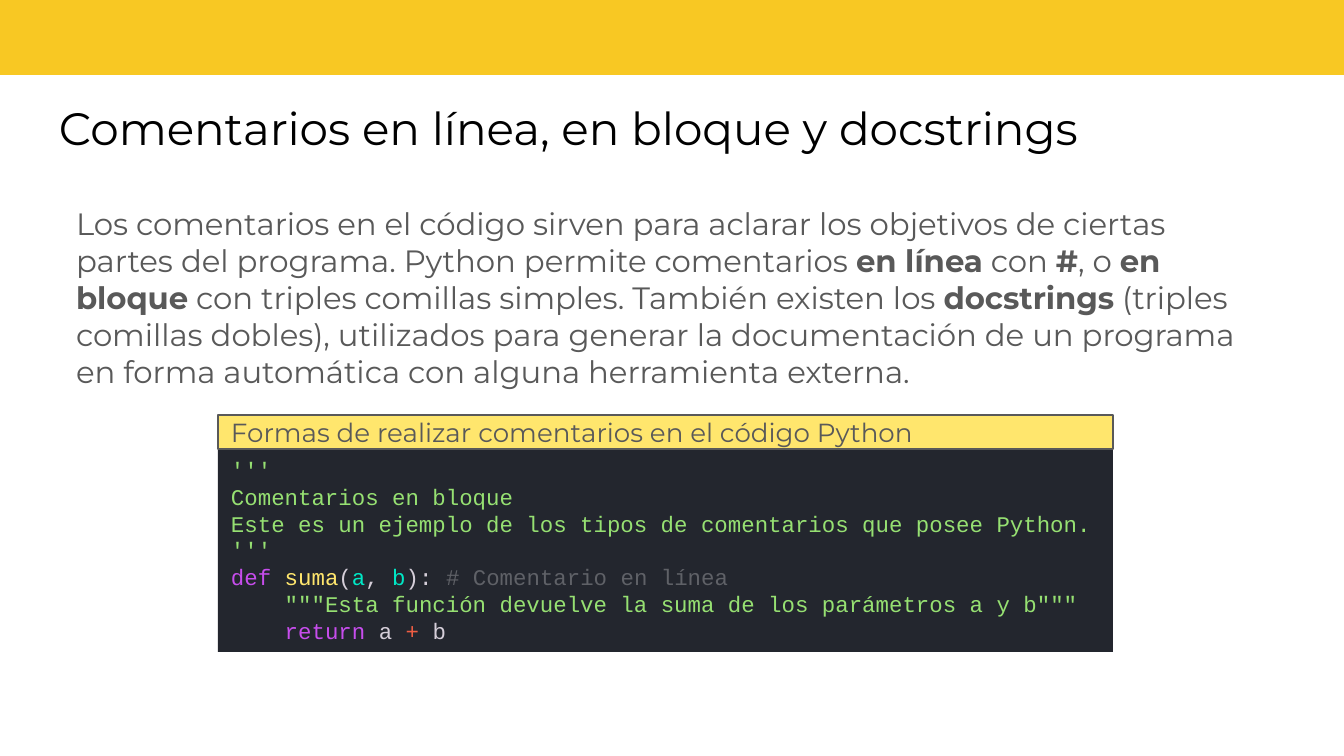
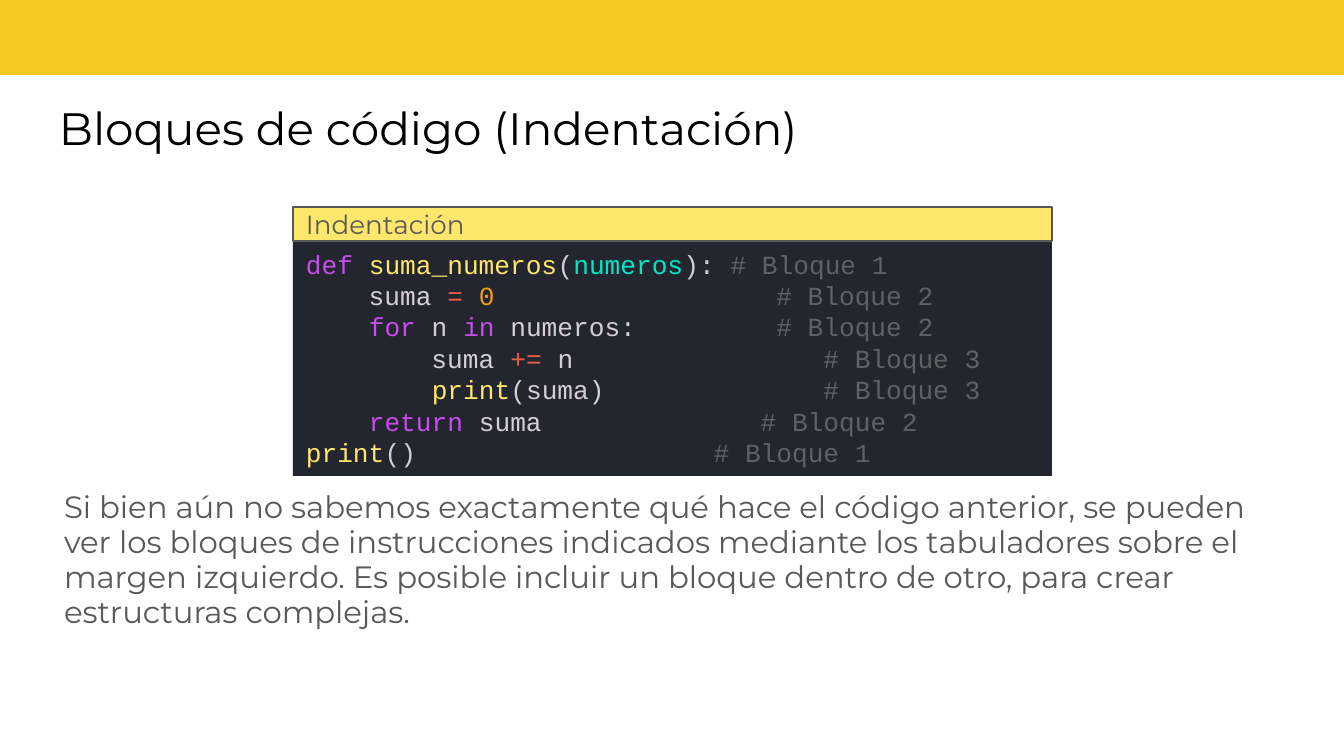
from itertools import zip_longest

from lxml import etree
from pptx import Presentation
from pptx import util as u
from pptx.dml.color import RGBColor
from pptx.enum import shapes, text
from pptx.oxml.ns import qn

# Content: every run is (words, role); roles are styled in THEME
SLIDES = [
    {
        "title": "Comentarios en línea, en bloque y docstrings",
        "body": [
            ("Los comentarios en el código sirven para aclarar los objetivos de ciertas "
             "partes del programa. Python permite comentarios ", "plain"),
            ("en línea", "strong"), (" con ", "plain"), ("#", "strong"), (", o ", "plain"),
            ("en bloque", "strong"),
            (" con triples comillas simples. También existen los ", "plain"),
            ("docstrings", "strong"),
            (" (triples comillas dobles), utilizados para generar la documentación de un "
             "programa en forma automática con alguna herramienta externa.", "plain"),
        ],
        "body_box": (63, 192, 1218, 485),
        "line_spacing": 1.0,
        "heading": "Formas de realizar comentarios en el código Python",
        "heading_at": (218, 415, 895),
        "code_height": 203,
        "code_size": 12,
        "code": [
            [("'''", "string")],
            [("Comentarios en bloque", "string")],
            [("Este es un ejemplo de los tipos de comentarios que posee Python.", "string")],
            [("'''", "string")],
            [("def ", "keyword"), ("suma", "function"), ("(", "code"), ("a", "parameter"),
             (", ", "code"), ("b", "parameter"), ("): ", "code"),
             ("# Comentario en línea", "comment")],
            [("    ", "code"),
             ('"""Esta función devuelve la suma de los parámetros a y b"""', "string")],
            [("    ", "code"), ("return", "keyword"), (" a ", "code"),
             ("+", "operator"), (" b", "code")],
        ],
        "comment_columns": [],
    },
    {
        "title": "Bloques de código (Indentación)",
        "body": [
            ("Si bien aún no sabemos exactamente qué hace el código anterior, se pueden ver "
             "los bloques de instrucciones indicados mediante los tabuladores sobre el margen "
             "izquierdo. Es posible incluir un bloque dentro de otro, para crear estructuras "
             "complejas.", "plain"),
        ],
        "body_box": (51, 477, 1243, 192),
        "line_spacing": 0.95,
        "heading": "Indentación",
        "heading_at": (293, 207, 759),
        "code_height": 235,
        "code_size": 14,
        "code": [
            [("def ", "keyword"), ("suma_numeros", "function"), ("(", "code"),
             ("numeros", "parameter"), ("): ", "code"), ("# Bloque 1", "comment")],
            [("    suma ", "code"), ("= ", "operator"), ("0", "number"),
             ("\t# Bloque 2", "comment")],
            [("    ", "code"), ("for", "keyword"), (" n ", "code"), ("in", "keyword"),
             (" numeros:", "code"), ("\t# Bloque 2", "comment")],
            [("        suma ", "code"), ("+=", "operator"), (" n", "code"),
             ("\t# Bloque 3", "comment")],
            [("        ", "code"), ("print", "function"), ("(suma)", "code"),
             ("\t# Bloque 3", "comment")],
            [("    ", "code"), ("return", "keyword"), (" suma", "code"),
             ("\t# Bloque 2", "comment")],
            [("print", "function"), ("()", "code"), ("\t# Bloque 1", "comment")],
        ],
        # Character column where the comment of each line starts
        "comment_columns": [None, 30, 30, 33, 33, 29, 26],
    },
]

THEME = {
    "fonts": {"prose": "Montserrat", "code": "Courier New"},
    "sizes": {"title": 24.3, "body": 16.5, "heading": 14},
    "fills": {"band": "F8C823", "heading": "FFE66D", "code": "23262E"},
    "roles": {
        "title": "000000", "plain": "595959", "strong": "595959",
        "code": "D5CED9", "keyword": "C74DED", "function": "FFE66D",
        "parameter": "00E8C6", "string": "96E072", "comment": "5F6167",
        "operator": "EE5D43", "number": "F39C12",
    },
}

# Geometry in px
PX = u.Inches(10) / 1344
SLIDE_SIZE = (1344, 756)
BAND_BOX = (-1, -7, 1348, 82)
TITLE_BOX = (46, 87, 1250, 85)
HEADING_HEIGHT = 34
INSET_X, INSET_Y, PANEL_INSET_Y = 13, 13, 7
MONO_ADVANCE = 0.6  # width of a code character, in ems


def px(length):
    return u.Emu(round(length * PX))


def color(code):
    return RGBColor.from_string(code)


def place(part, box):
    for side, length in zip(("left", "top", "width", "height"), box):
        setattr(part, side, px(length))


def set_frame(frame, inset_y, anchor=text.MSO_ANCHOR.TOP):
    settings = {
        "word_wrap": True, "auto_size": text.MSO_AUTO_SIZE.NONE, "vertical_anchor": anchor,
        "margin_left": px(INSET_X), "margin_right": px(INSET_X),
        "margin_top": px(inset_y), "margin_bottom": px(inset_y),
    }
    for name, value in settings.items():
        setattr(frame, name, value)


def write_line(paragraph, runs, font, size, line_spacing=1.0):
    layout = {"alignment": text.PP_ALIGN.LEFT, "space_before": u.Pt(0),
              "line_spacing": line_spacing}
    for name, value in layout.items():
        setattr(paragraph, name, value)
    for words, role in runs:
        run = paragraph.add_run()
        run.text = words
        style = {"name": THEME["fonts"][font], "size": u.Pt(size), "bold": role == "strong"}
        for name, value in style.items():
            setattr(run.font, name, value)
        run.font.color.rgb = color(THEME["roles"][role])


def add_rect(slide, box, fill):
    rect = slide.shapes.add_shape(shapes.MSO_SHAPE.RECTANGLE, *map(px, box))
    rect.shadow.inherit = False
    rect.fill.solid()
    rect.fill.fore_color.rgb = color(THEME["fills"][fill])
    rect.line.fill.background()
    return rect


def remove_bullet(paragraph):
    props = paragraph._p.get_or_add_pPr()
    props.set("marL", "0")
    props.set("indent", "0")
    etree.SubElement(props, qn("a:buNone"))


def add_tab_stop(paragraph, column, size):
    stops = etree.SubElement(paragraph._p.get_or_add_pPr(), qn("a:tabLst"))
    position = u.Pt(column * MONO_ADVANCE * size)
    etree.SubElement(stops, qn("a:tab"), pos=str(position), algn="l")


def add_band_to_master(prs, slide):
    band = add_rect(slide, BAND_BOX, "band").element
    band.xpath("p:nvSpPr/p:cNvPr")[0].set("id", "20")
    prs.slide_master.shapes.element.insert(2, band)


def add_code_panel(slide, content):
    left, top, width = content["heading_at"]

    # Dark code block under the heading
    code = add_rect(slide, (left, top + HEADING_HEIGHT, width, content["code_height"]), "code")
    set_frame(code.text_frame, PANEL_INSET_Y)
    size = content["code_size"]
    for i, (runs, column) in enumerate(zip_longest(content["code"], content["comment_columns"])):
        line = code.text_frame.paragraphs[0] if i == 0 else code.text_frame.add_paragraph()
        if column:
            add_tab_stop(line, column, size)
        write_line(line, runs, "code", size)

    # Yellow heading strip
    heading = add_rect(slide, (left, top, width, HEADING_HEIGHT), "heading")
    heading.line.color.rgb = color(THEME["roles"]["plain"])
    heading.line.width = u.Pt(0.75)
    set_frame(heading.text_frame, PANEL_INSET_Y, text.MSO_ANCHOR.MIDDLE)
    write_line(heading.text_frame.paragraphs[0], [(content["heading"], "plain")],
               "prose", THEME["sizes"]["heading"])


def add_slide(prs, content):
    slide = prs.slides.add_slide(prs.slide_layouts[1])

    # Title and explanation
    title, body = slide.shapes.title, slide.placeholders[1]
    place(title, TITLE_BOX)
    place(body, content["body_box"])
    for part in (title, body):
        set_frame(part.text_frame, INSET_Y)
    write_line(title.text_frame.paragraphs[0], [(content["title"], "title")],
               "prose", THEME["sizes"]["title"])
    explanation = body.text_frame.paragraphs[0]
    remove_bullet(explanation)
    write_line(explanation, content["body"], "prose", THEME["sizes"]["body"],
               content["line_spacing"])

    add_code_panel(slide, content)
    return slide


def main():
    prs = Presentation()
    prs.slide_width, prs.slide_height = map(px, SLIDE_SIZE)
    built = [add_slide(prs, content) for content in SLIDES]
    add_band_to_master(prs, built[0])
    prs.save("out.pptx")


if __name__ == "__main__":
    main()
